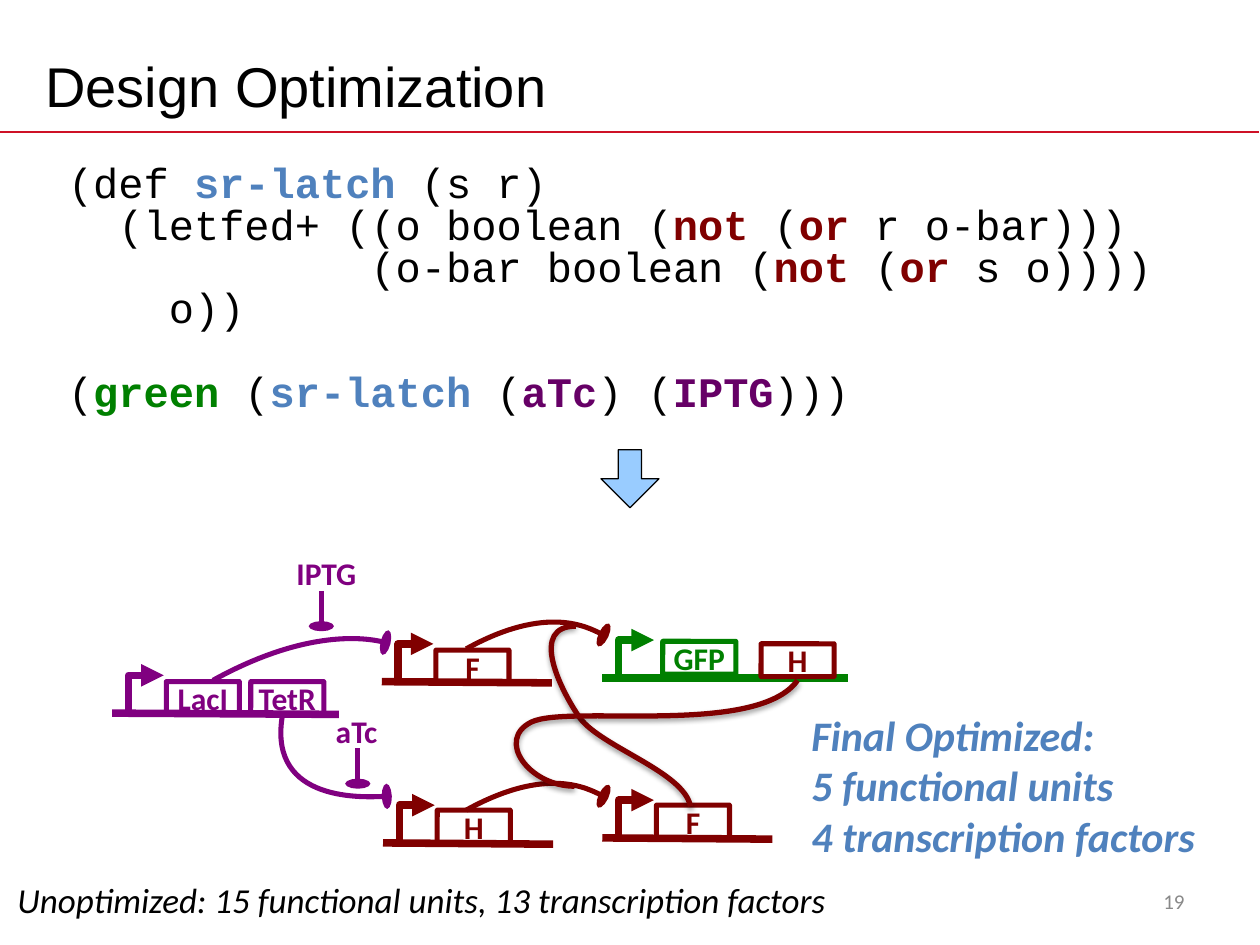
from dataclasses import dataclass

from lxml import etree
from pptx import Presentation
from pptx.dml.color import RGBColor
from pptx.enum.shapes import MSO_CONNECTOR, MSO_SHAPE
from pptx.enum.text import MSO_ANCHOR, PP_ALIGN
from pptx.oxml.ns import qn
from pptx.util import Inches, Pt

LINE = MSO_CONNECTOR.STRAIGHT
ROUND, DOWN = MSO_SHAPE.ROUNDED_RECTANGLE, MSO_SHAPE.DOWN_ARROW
MID, TOP = MSO_ANCHOR.MIDDLE, MSO_ANCHOR.TOP
LEFT, MIDDLE, RIGHT = PP_ALIGN.LEFT, PP_ALIGN.CENTER, PP_ALIGN.RIGHT
INK = {"black": "000000", "rule": "CE1126", "blue": "4F81BD", "red": "800000",
       "green": "008000", "purple": "800080", "plum": "660066",
       "sky": "99CCFF", "gray": "898989"}
THIN, BOLD = 2.89, 4.31
PAD = (0.1, 0.05, 0.1, 0.05)
ZERO = (0, 0, 0, 0)

Point = tuple[float, float]


@dataclass
class Gene:
    name: str
    dx: float
    dy: float
    ink: str


@dataclass
class Unit:
    """A strand with a promoter arrow and the genes that sit on it."""
    x: float
    y: float
    wide: float
    drop: float
    ink: str
    genes: list[Gene]


@dataclass
class Curve:
    """A Bezier chain: a start point, then three points for each segment."""
    ink: str
    points: list[Point]


@dataclass
class Input:
    name: str
    x: float
    y: float
    left: float


UNITS = [
    Unit(0.89, 5.66, 1.8, 0.01, "purple",
         [Gene("LacI", 0.43, -0.25, "purple"), Gene("TetR", 1.1, -0.25, "purple")]),
    Unit(3.03, 5.41, 1.35, 0.01, "red", [Gene("F", 0.43, -0.25, "red")]),
    Unit(4.78, 5.38, 1.95, 0, "green",
         [Gene("GFP", 0.48, -0.29, "green"), Gene("H", 1.26, -0.27, "red")]),
    Unit(3.04, 6.69, 1.35, 0.01, "red", [Gene("H", 0.43, -0.26, "red")]),
    Unit(4.78, 6.65, 1.35, 0.01, "red", [Gene("F", 0.43, -0.26, "red")]),
]
BLOCKS = [
    Curve("purple", [(1.69, 5.4), (2.34, 5.04), (2.84, 5.04), (3.06, 5.1)]),
    Curve("purple", [(2.24, 5.69), (2.13, 6.38), (3.07, 6.32), (3.07, 6.32)]),
    Curve("red", [(3.7, 5.15), (4.35, 4.79), (4.79, 5.04), (4.79, 5.04)]),
    Curve("red", [(3.7, 6.43), (4.35, 6.07), (4.79, 6.32), (4.79, 6.32)]),
]
LOOPS = [
    Curve("red", [(5.48, 6.4), (5.43, 6.12), (4.74, 5.92), (4.59, 5.68),
                  (4.43, 5.44), (4.21, 4.97), (4.57, 4.97)]),
    Curve("red", [(6.33, 5.4), (6.01, 5.85), (4.52, 5.59), (4.22, 5.73),
                  (3.93, 5.87), (4.2, 6.24), (4.56, 6.24)]),
]
INPUTS = [Input("IPTG", 2.55, 4.69, 2.19), Input("aTc", 2.84, 5.94, 2.43)]
CODE = [
    [("(def ", "black"), ("sr-latch ", "blue"), ("(s r)", "black")],
    [("  (letfed+ ((o boolean (", "black"), ("not ", "red"), ("(", "black"),
     ("or ", "red"), ("r o-bar)))", "black")],
    [("            (o-bar boolean (", "black"), ("not ", "red"), ("(", "black"),
     ("or ", "red"), ("s o))))", "black")],
    [("    o))", "black")],
    [("(", "black"), ("green ", "green"), ("(", "black"), ("sr-latch ", "blue"),
     ("(", "black"), ("aTc", "plum"), (") (", "black"), ("IPTG", "plum"),
     (")))", "black")],
]


def color(name: str) -> RGBColor:
    return RGBColor.from_string(INK[name])


def stroke(line, ink: str, width: float) -> None:
    line.color.rgb = color(ink)
    line.width = Pt(width)


def tip(shape, kind: str, wide: str = "med", long: str = "med") -> None:
    """Put a line end on the last point."""
    etree.SubElement(shape.line._get_or_add_ln(), qn("a:tailEnd"),
                     type=kind, w=wide, len=long)


def add_run(para, text: str, size: float, ink: str, face: str = "Calibri",
            bold: bool = False, slant: bool = False) -> None:
    run = para.add_run()
    run.text = text
    font = run.font
    font.name, font.size, font.bold, font.italic = face, Pt(size), bold, slant
    font.color.rgb = color(ink)


def set_frame(shape, pad=PAD, anchor=TOP):
    frame = shape.text_frame
    frame.word_wrap = True
    frame.vertical_anchor = anchor
    (frame.margin_left, frame.margin_top,
     frame.margin_right, frame.margin_bottom) = map(Inches, pad)
    return frame


def add_text(shapes, box, lines: list[str], size: float, ink: str, bold=False,
             slant=False, align=LEFT, pad=PAD, anchor=TOP) -> None:
    frame = set_frame(shapes.add_textbox(*map(Inches, box)), pad, anchor)
    for i, text in enumerate(lines):
        para = frame.add_paragraph() if i else frame.paragraphs[0]
        para.alignment = align
        add_run(para, text, size, ink, bold=bold, slant=slant)


def add_line(shapes, start: Point, end: Point, ink: str, width: float):
    line = shapes.add_connector(LINE, *map(Inches, start + end))
    stroke(line.line, ink, width)
    etree.SubElement(line._element.spPr, qn("a:effectLst"))
    return line


def add_path(shapes, points: list[Point], ink: str, width: float):
    spots = [(Inches(x), Inches(y)) for x, y in points]
    pen = shapes.build_freeform(*spots[0])
    pen.add_line_segments(spots[1:], close=False)
    shape = pen.convert_to_shape()
    shape.fill.background()
    stroke(shape.line, ink, width)
    shape.shadow.inherit = False
    return shape


def add_curve(shapes, curve: Curve, width: float):
    shape = add_path(shapes, curve.points, curve.ink, width)
    steps = list(shape._element.iter(qn("a:lnTo")))
    for i in range(0, len(steps), 3):
        bend = etree.Element(qn("a:cubicBezTo"))
        steps[i].addprevious(bend)
        for step in steps[i:i + 3]:
            bend.append(step[0])
            step.getparent().remove(step)
    return shape


def add_shade(shape) -> None:
    effects = shape._element.spPr.find(qn("a:effectLst"))
    shade = etree.SubElement(effects, qn("a:outerShdw"), blurRad=str(Pt(3.1)),
                             dist=str(Pt(1.6)), dir="5400000", rotWithShape="0")
    tone = etree.SubElement(shade, qn("a:srgbClr"), val=INK["black"])
    etree.SubElement(tone, qn("a:alpha"), val="38000")


def add_unit(shapes, unit: Unit) -> None:
    x, y = unit.x, unit.y
    add_line(shapes, (x, y), (x + unit.wide, y + unit.drop), unit.ink, BOLD)
    foot, top = x + 0.13, y - 0.3
    bent = [(foot, top + 0.28), (foot, top), (foot + 0.28, top)]
    tip(add_path(shapes, bent, unit.ink, BOLD), "triangle")
    for gene in unit.genes:
        box = (x + gene.dx, y + gene.dy, 0.58, 0.26)
        shape = shapes.add_shape(ROUND, *map(Inches, box))
        shape.adjustments[0] = 0.01
        shape.shadow.inherit = False
        shape.fill.background()
        stroke(shape.line, gene.ink, THIN)
        para = set_frame(shape, ZERO, MID).paragraphs[0]
        para.alignment = MIDDLE
        add_run(para, gene.name, 18, gene.ink, bold=True)


def add_input(shapes, item: Input) -> None:
    stem = add_line(shapes, (item.x, item.y), (item.x, item.y + 0.28), "purple", THIN)
    tip(stem, "oval", "lg", "sm")
    add_text(shapes, (item.left, item.y - 0.29, 0.8, 0.34), [item.name], 18,
             "purple", bold=True, align=MIDDLE, pad=ZERO)


def add_code(shapes) -> None:
    box = shapes.add_textbox(*map(Inches, (0.45, 1.22, 8.97, 2.23)))
    frame = set_frame(box, (0.09, 0.09, 0.09, 0.04))
    for i, row in enumerate(CODE):
        para = frame.add_paragraph() if i else frame.paragraphs[0]
        para.line_spacing = 0.83
        for text, ink in row:
            add_run(para, text, 24, ink, "Courier New", bold=ink != "black")
    para.space_before = Pt(24)


def main() -> None:
    deck = Presentation()
    deck.slide_width, deck.slide_height = Inches(10), Inches(7.5)
    slide = deck.slides.add_slide(deck.slide_layouts[5])
    shapes = slide.shapes

    title = shapes.title
    title.left, title.top, title.width, title.height = map(Inches, (0.26, 0.3, 9, 0.75))
    para = set_frame(title, anchor=MID).paragraphs[0]
    para.alignment = LEFT
    add_run(para, "Design Optimization", 32, "black", "Arial")
    add_line(shapes, (0, 1.05), (9.99, 1.05), "rule", 1)
    add_code(shapes)

    arrow = shapes.add_shape(DOWN, *map(Inches, (4.77, 3.57, 0.46, 0.46)))
    arrow.adjustments[0], arrow.adjustments[1] = 0.4, 0.5
    arrow.shadow.inherit = False
    arrow.fill.solid()
    arrow.fill.fore_color.rgb = color("sky")
    stroke(arrow.line, "black", 0.75)

    for unit in UNITS:
        add_unit(shapes, unit)
    for curve in BLOCKS:
        tip(add_curve(shapes, curve, THIN), "oval", "lg", "sm")
    for curve in LOOPS:
        add_shade(add_curve(shapes, curve, 3))
    for item in INPUTS:
        add_input(shapes, item)

    add_text(shapes, (6.34, 5.58, 3.41, 1.31),
             ["Final Optimized:", "5 functional units", "4 transcription factors"],
             24, "blue", bold=True, slant=True)
    add_text(shapes, (0.04, 6.92, 7.51, 0.44),
             ["Unoptimized: 15 functional units, 13 transcription factors"],
             20, "black", slant=True)
    add_text(shapes, (7.17, 6.95, 2.33, 0.4), ["19"], 12, "gray",
             align=RIGHT, anchor=MID)
    deck.save("out.pptx")


if __name__ == "__main__":
    main()
